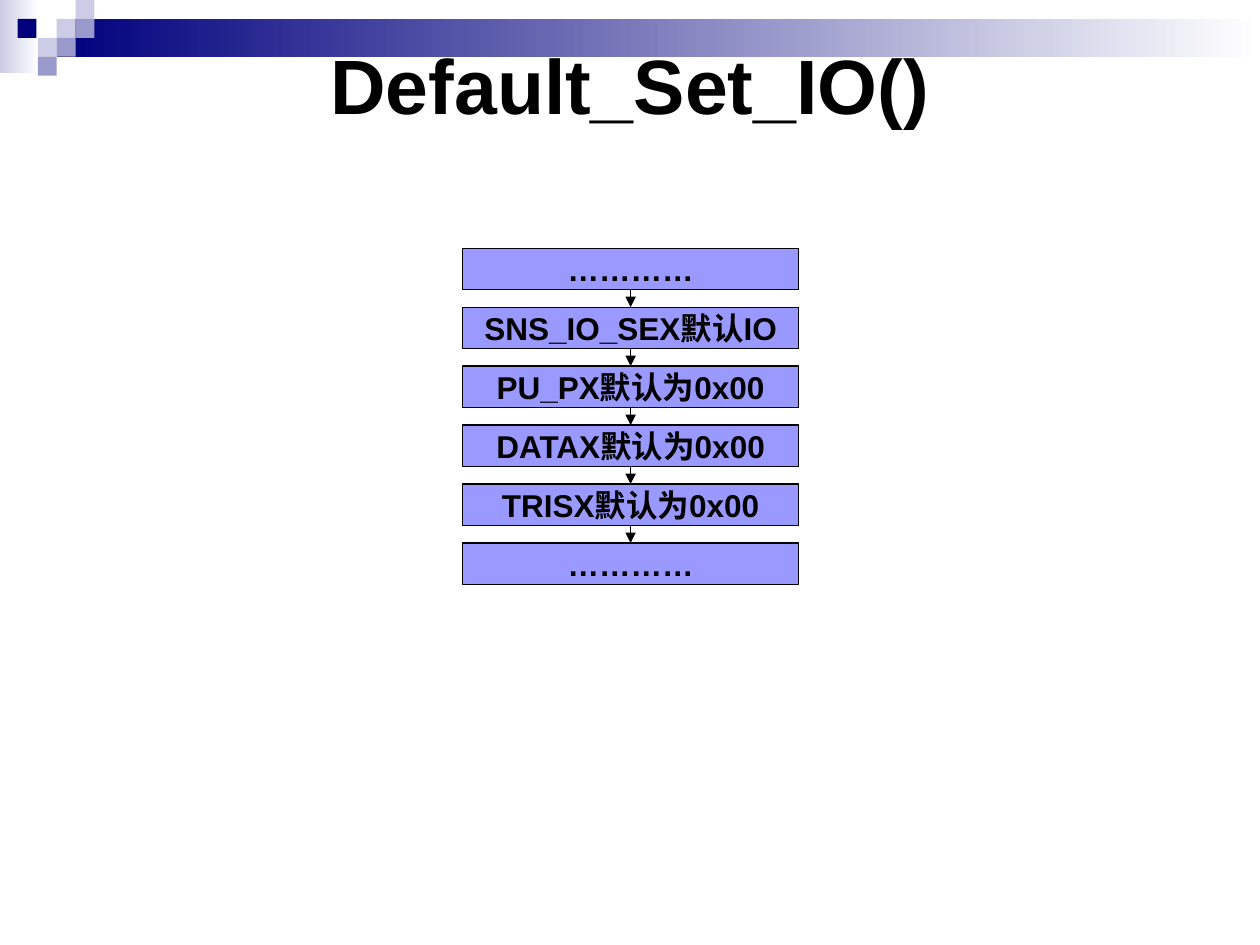
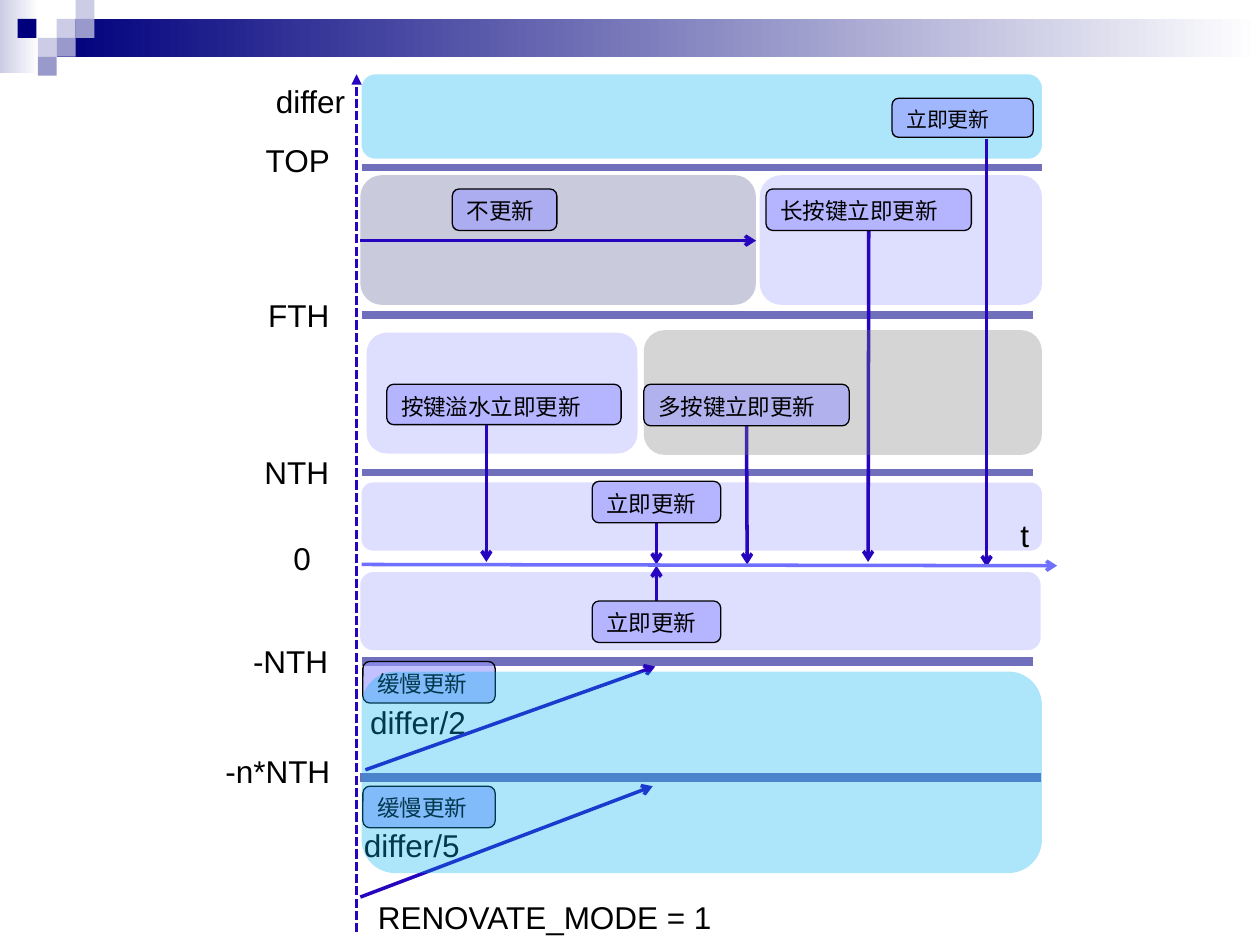
import dataclasses
import lxml.etree
import pptx
import pptx.dml.color
import pptx.enum.dml
import pptx.enum.shapes
import pptx.enum.text
import pptx.oxml.ns
import pptx.util

KIND = pptx.enum.shapes.MSO_SHAPE
TEXT = pptx.enum.text
qn = pptx.oxml.ns.qn


@dataclasses.dataclass(frozen=True)
class Theme:
    """Colours, font and type sizes of the deck."""
    font: str = "Arial"
    title: float = 44
    body: float = 18
    note: float = 12.9
    small: float = 11.9
    ink: str = "000000"
    white: str = "FFFFFF"
    navy: str = "00007D"
    pale: str = "CCCCE6"
    mid: str = "9999CC"
    lilac: str = "9999FF"
    cyan: str = "00B0F0"
    slate: str = "5B5B98"
    grey: str = "7F7F7F"
    level: str = "6F6FBC"
    arrow: str = "2704BE"
    time: str = "7070FF"
    hair: float = 0.75
    stroke: float = 2
    veil: int = 32
    tint: int = 60


class Deck:
    """Draws slides on a grid of 100 columns by 75 rows."""

    def __init__(self, theme):
        self.theme = theme
        self.show = pptx.Presentation()
        self.show.slide_width = pptx.util.Inches(10)
        self.show.slide_height = pptx.util.Inches(7.5)
        self.slide = None

    def grid(self, *cells):
        return [round(cell * self.show.slide_width / 100) for cell in cells]

    def rgb(self, code):
        return pptx.dml.color.RGBColor.from_string(code)

    def begin(self, layout):
        self.slide = self.show.slides.add_slide(self.show.slide_layouts[layout])

    def letter(self, shape, text, size, bold=False, align=TEXT.PP_ALIGN.LEFT,
               anchor=TEXT.MSO_ANCHOR.TOP, wrap=True):
        frame = shape.text_frame
        frame.auto_size = TEXT.MSO_AUTO_SIZE.NONE
        frame.word_wrap = wrap
        frame.vertical_anchor = anchor
        para = frame.paragraphs[0]
        para.alignment = align
        run = para.add_run()
        run.text = text
        run.font.name = self.theme.font
        run.font.size = pptx.util.Pt(size)
        run.font.bold = bold
        run.font.color.rgb = self.rgb(self.theme.ink)

    def title(self, text, *at):
        shape = self.slide.shapes.title
        shape.left, shape.top, shape.width, shape.height = self.grid(*at)
        self.letter(shape, text, self.theme.title, True,
                    TEXT.PP_ALIGN.CENTER, TEXT.MSO_ANCHOR.MIDDLE)

    def block(self, at, fill, kind=KIND.RECTANGLE, alpha=None, line=None, home=None):
        shape = (home or self.slide).shapes.add_shape(kind, *self.grid(*at))
        shape.shadow.inherit = False
        shape.fill.solid()
        shape.fill.fore_color.rgb = self.rgb(fill)
        if alpha:
            tone = shape.element.spPr.find(".//" + qn("a:srgbClr"))
            lxml.etree.SubElement(tone, qn("a:alpha")).set("val", str(alpha * 1000))
        if line:
            shape.line.color.rgb = self.rgb(line)
            shape.line.width = pptx.util.Pt(self.theme.hair)
        else:
            shape.line.fill.background()
        return shape

    def fade(self, at, start, home):
        fill = self.block(at, start, home=home).fill
        fill.gradient()
        fill.gradient_angle = 0
        for stop, place, code in zip(fill.gradient_stops, (0, 1), (start, self.theme.white)):
            stop.position = place
            stop.color.rgb = self.rgb(code)

    def step(self, text, at):
        shape = self.block(at, self.theme.lilac, line=self.theme.ink)
        self.letter(shape, text, self.theme.body, True,
                    TEXT.PP_ALIGN.CENTER, TEXT.MSO_ANCHOR.MIDDLE, False)
        return shape

    def panel(self, fill, *at):
        self.block(at, fill, KIND.ROUNDED_RECTANGLE, self.theme.veil)

    def note(self, text, at, size=None):
        shape = self.block(at, self.theme.lilac, KIND.ROUNDED_RECTANGLE,
                           self.theme.tint, self.theme.ink)
        self.letter(shape, text, size or self.theme.note)
        return shape

    def label(self, text, left, top, width):
        shape = self.slide.shapes.add_textbox(*self.grid(left, top, width, 4))
        self.letter(shape, text, self.theme.body, wrap=False)

    def line(self, ends, color, width, head=None, dash=False):
        link = self.slide.shapes.add_connector(
            pptx.enum.shapes.MSO_CONNECTOR.STRAIGHT, *self.grid(*ends))
        link.line.color.rgb = self.rgb(color)
        link.line.width = pptx.util.Pt(width)
        if dash:
            link.line.dash_style = pptx.enum.dml.MSO_LINE.SQUARE_DOT
        props = link.element.spPr
        if head:
            lxml.etree.SubElement(props.find(qn("a:ln")), qn("a:tailEnd")).set("type", head)
        lxml.etree.SubElement(props, qn("a:effectLst"))
        return link

    def arrow(self, *ends):
        return self.line(ends, self.theme.arrow, self.theme.stroke, "arrow")

    def band(self):
        look = self.theme
        group = self.slide.shapes.add_group_shape()
        self.fade((0, 0, 3.1, 5.8), look.pale, group)
        self.fade((4.5, 1.5, 95.5, 3), look.navy, group)
        tiles = [(3, 1, look.pale), (4, 0, look.pale), (4, 1, look.mid),
                 (2, 2, look.pale), (0.93, 1, look.navy), (3, 2, look.mid),
                 (2, 3, look.mid)]
        for col, row, fill in tiles:
            self.block((col * 1.5, row * 1.5, 1.5, 1.5), fill, home=group)
        for num, item in enumerate(group.element.iter(qn("p:cNvPr")), 100):
            item.set("id", str(num))
        self.show.slide_master.shapes.element.insert(2, group.element)


def flow(deck):
    look = deck.theme
    deck.title("Default_Set_IO()", 5, 5, 90, 3.3)
    steps = ["…………", "SNS_IO_SEX默认IO", "PU_PX默认为0x00",
             "DATAX默认为0x00", "TRISX默认为0x00", "…………"]
    boxes = [deck.step(text, (36.7, 19.7 + 4.68 * row, 26.7, 3.3))
             for row, text in enumerate(steps)]
    for upper, lower in zip(boxes, boxes[1:]):
        link = deck.line((50, 20, 50, 21), look.ink, look.hair, "triangle")
        link.begin_connect(upper, 2)
        link.end_connect(lower, 0)


def chart(deck):
    look = deck.theme
    for panel in [(look.lilac, 60.3, 13.9, 22.4, 10.3), (look.cyan, 28.7, 5.9, 54, 6.7),
                  (look.slate, 28.6, 13.9, 31.4, 10.3), (look.lilac, 28.7, 38.3, 54, 5.4),
                  (look.lilac, 29.1, 26.4, 21.5, 9.6), (look.lilac, 28.6, 45.4, 54, 6.2)]:
        deck.panel(*panel)
    deck.line((28.3, 74, 28.3, 5.9), look.arrow, 1.75, "triangle", True)
    for left, right, row, width in [(28.7, 82.7, 13.3, 4), (28.7, 82, 25, 4.6),
                                    (28.7, 82, 37.5, 4), (28.7, 82, 52.5, 5),
                                    (28.6, 82.6, 61.7, 5)]:
        deck.line((left, row, right, row), look.level, width)
    for label in [("differ", 20.9, 6, 7.5), ("TOP", 20.1, 10.7, 7.1),
                  ("FTH", 20.3, 23, 6.8), ("NTH", 20, 35.5, 7.1),
                  ("0", 22.3, 42.3, 3.4), ("-NTH", 19.1, 50.5, 7.9),
                  ("t", 80, 40.5, 2.7), ("RENOVATE_MODE = 1", 29, 70.8, 28.9),
                  ("differ/2", 28.4, 55.3, 9.6), ("differ/5", 27.9, 65.1, 9.6)]:
        deck.label(*label)

    many = deck.arrow(59.3, 33.8, 59.3, 44.8)
    long = deck.arrow(68.9, 18.3, 68.9, 44.6)
    above = deck.arrow(52.1, 41.5, 52.1, 44.8)
    below = deck.arrow(52.1, 47.7, 52.1, 44.9)
    deck.panel(look.grey, 51.1, 26.2, 31.6, 9.9)
    for link, side, text, at in [
            (many, 2, "多按键立即更新", (51.1, 30.5, 16.3, 3.3)),
            (long, 2, "长按键立即更新", (60.8, 15, 16.3, 3.3)),
            (above, 2, "立即更新", (47, 38.2, 10.2, 3.3)),
            (below, 0, "立即更新", (47, 47.7, 10.2, 3.3))]:
        link.begin_connect(deck.note(text, at), side)
    deck.note("按键溢水立即更新", (30.7, 30.5, 18.6, 3.2))
    deck.note("不更新", (35.9, 15, 8.3, 3.3))
    deck.note("立即更新", (70.8, 7.8, 11.2, 3.1), look.small)
    for ends in [(28.6, 19.1, 60, 19.1), (38.6, 33.7, 38.6, 44.6),
                 (78.3, 11, 78.3, 45), (28.6, 71.2, 51.8, 62.4),
                 (29, 61.1, 52, 52.9)]:
        deck.arrow(*ends)
    deck.line((28.7, 44.8, 83.9, 44.9), look.time, look.stroke, "arrow")
    for top in (52.5, 62.4):
        deck.note("缓慢更新", (28.8, top, 10.5, 3.3))
    deck.panel(look.cyan, 28.7, 53.3, 54, 16)
    deck.label("-n*NTH", 16.9, 59.2, 10.3)


def main():
    deck = Deck(Theme())
    deck.begin(5)
    deck.band()
    flow(deck)
    deck.begin(6)
    chart(deck)
    deck.show.save("out.pptx")


if __name__ == "__main__":
    main()
